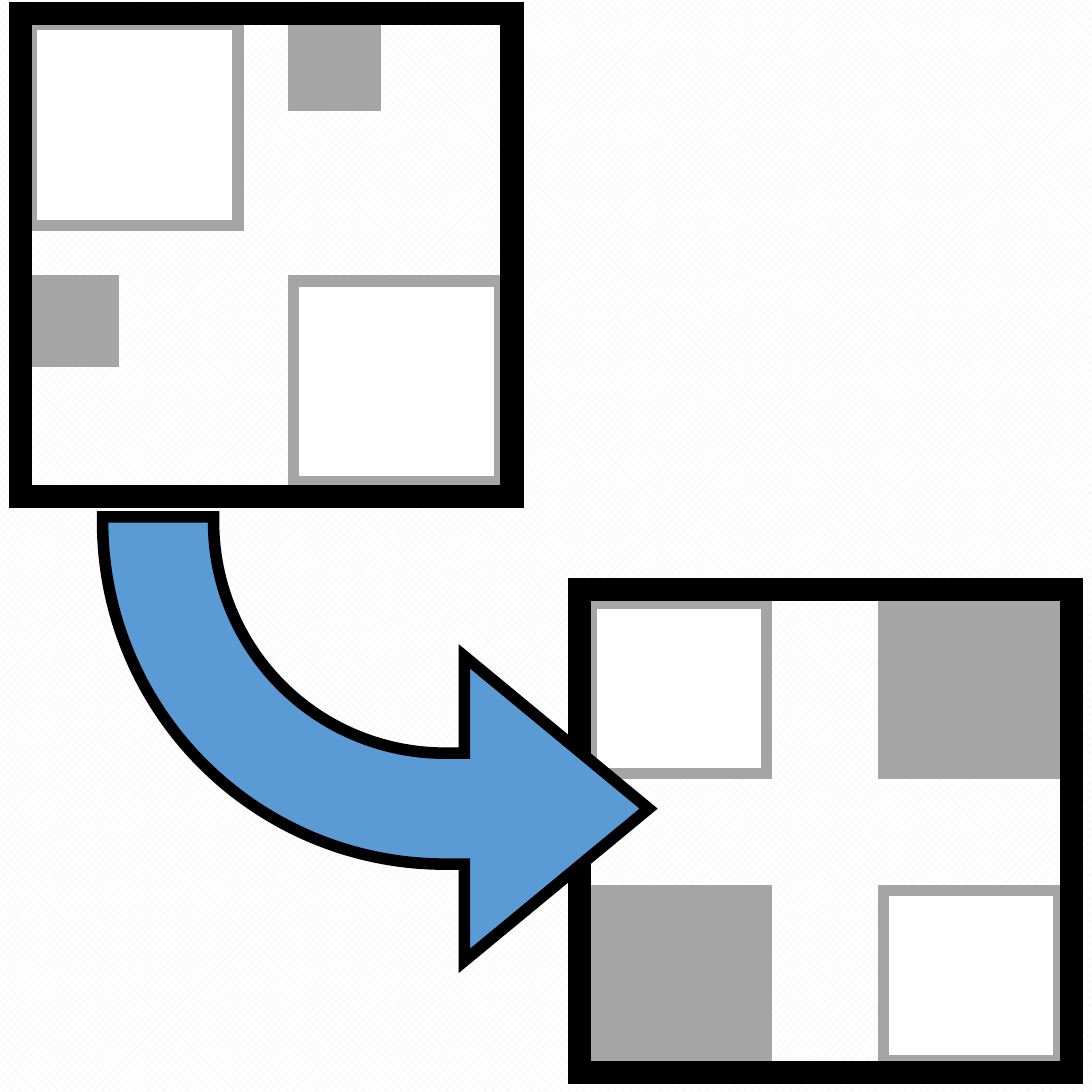
from pptx import Presentation
from pptx.dml.color import RGBColor
from pptx.enum.dml import MSO_PATTERN
from pptx.enum.shapes import MSO_SHAPE
from pptx.oxml.ns import qn
from pptx.util import Cm, Pt
from lxml.etree import SubElement

BLACK, GREY, WHITE, BLUE = "000000", "A5A5A5", "FFFFFF", "5B9BD5"


def tint(color, code):
    """Set a colour from a hex string."""
    color.rgb = RGBColor.from_string(code)


def paint(slide):
    """Give the slide its pale checked background."""
    fill = slide.background.fill
    fill.patterned()
    fill.pattern = MSO_PATTERN.LARGE_CHECKER_BOARD
    tint(fill.fore_color, "F2F2F2")
    tint(fill.back_color, WHITE)


def draw(slide, kind, box, fill, edge, width):
    """Add a sharp-cornered shape, hollow if it has no fill."""
    shape = slide.shapes.add_shape(kind, *map(Cm, box))
    shape.shadow.inherit = False
    if fill:
        shape.fill.solid()
        tint(shape.fill.fore_color, fill)
    else:
        shape.fill.background()
    tint(shape.line.color, edge)
    shape.line.width = Pt(width)
    miter = SubElement(shape.line._get_or_add_ln(), qn("a:miter"))
    miter.set("lim", "800000")
    return shape


def panel(slide, left, top, cols, rows, large, small):
    """Draw a frame around a two by two grid, white on the diagonal."""
    cells = [(r, c) for r in range(2) for c in range(2)]
    for r, c in sorted(cells, key=lambda cell: cell[0] == cell[1]):
        fill, size = (WHITE, large) if r == c else (GREY, small)
        box = (left + cols[c], top + rows[r], *size)
        draw(slide, MSO_SHAPE.RECTANGLE, box, fill, GREY, 6)
    draw(slide, MSO_SHAPE.RECTANGLE, (left, top, 9, 8.84), None, BLACK, 12)


def arrow(slide, box, ratios):
    """Draw the blue arrow that bends down and to the right."""
    shape = draw(slide, MSO_SHAPE.BENT_ARROW, box, BLUE, BLACK, 6)
    shape._element.spPr.get_or_add_xfrm().set("flipV", "1")
    for i, ratio in enumerate(ratios):
        shape.adjustments[i] = ratio


def main():
    """Build the slide with two panels and the arrow between them."""
    deck = Presentation()
    deck.slide_width = deck.slide_height = Cm(20)
    slide = deck.slides.add_slide(deck.slide_layouts[6])
    paint(slide)
    panel(slide, 0.38, 0.25, (0.2, 5), (0.2, 4.9), (3.78, 3.68), (1.5, 1.47))
    even = (3.22, 3.12)
    panel(slide, 10.62, 10.8, (0.2, 5.56), (0.25, 5.51), even, even)
    arrow(slide, (1.88, 9.47, 10, 8.13), (0.25, 0.343, 0.415, 0.771))
    deck.save("out.pptx")


if __name__ == "__main__":
    main()
